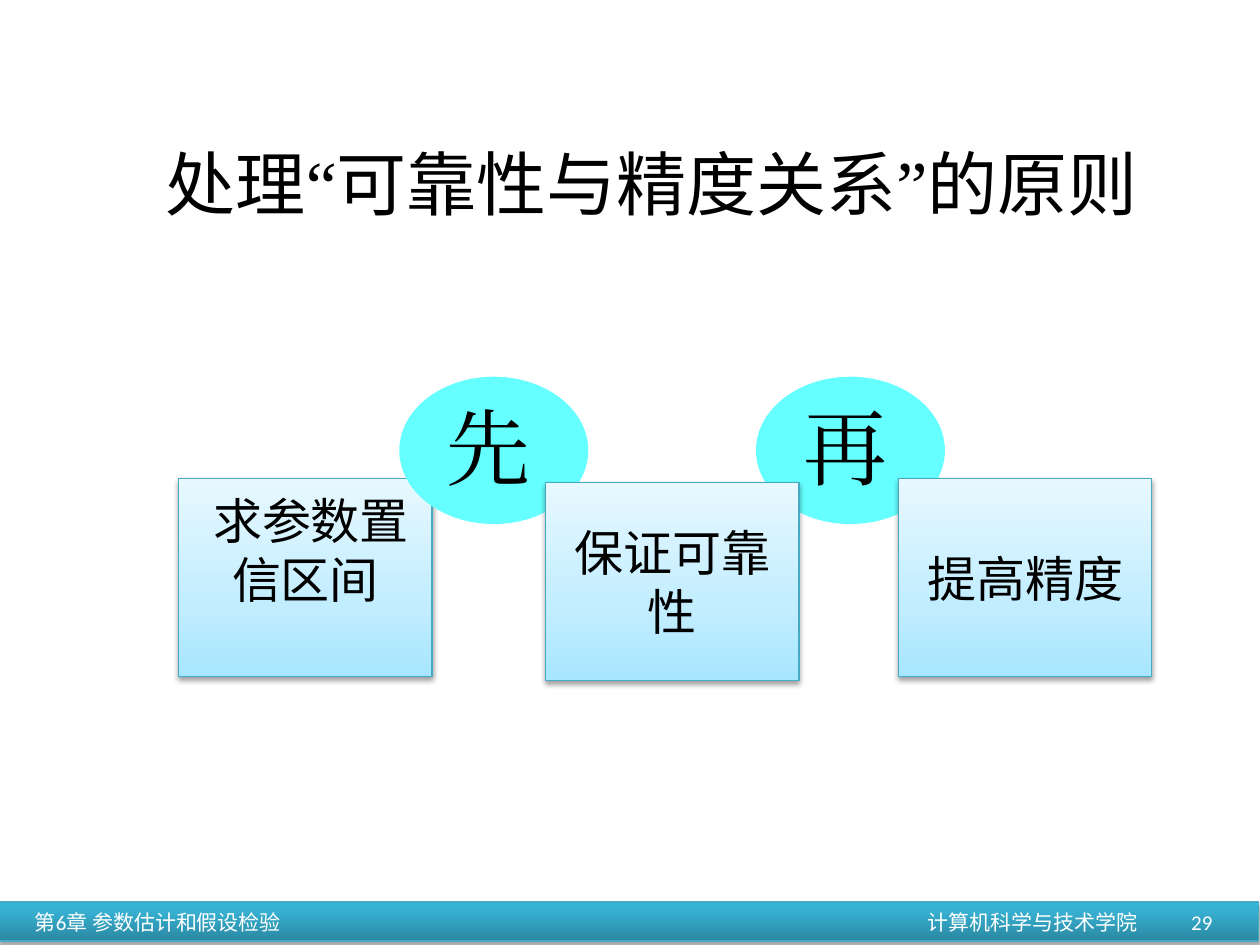
from pptx import Presentation
from pptx.util import Pt
from pptx.dml.color import RGBColor
from pptx.enum.shapes import MSO_SHAPE as Kind
from pptx.enum.text import PP_ALIGN as Align, MSO_ANCHOR as Anchor
from pptx.oxml import parse_xml
from pptx.oxml.ns import nsdecls
from lxml.etree import SubElement

SANS, SERIF = "Noto Sans CJK SC", "Times New Roman"
SKY = [(0, "A7E6FF"), (35, "C1EDFF"), (100, "E7F8FF")]
TEAL = [(0, "2A88A2"), (80, "37B1D2"), (100, "34B4D6")]


def hue(code):
    return RGBColor.from_string(code)


def write(shape, text, font=SANS, size=28, color="000000", align=Align.LEFT,
          anchor=Anchor.TOP, pads=(7.2, 3.6, 7.2, 3.6), lead=None):
    frame = shape.text_frame
    frame.word_wrap = True
    frame.vertical_anchor = anchor
    frame.margin_left, frame.margin_top, frame.margin_right, frame.margin_bottom = map(Pt, pads)
    para = frame.paragraphs[0]
    para.alignment = align
    if lead:
        para.line_spacing = Pt(lead)
    parts = [(text, font)] if isinstance(text, str) else text
    for words, face in parts:
        run = para.add_run()
        run.text = words
        run.font.name = face
        run.font.size = Pt(size)
        run.font.color.rgb = hue(color)
        east = SubElement(run.font._element, run.font._element[-1].tag.replace("latin", "ea"))
        east.set("typeface", face)


def label(slide, box, text, **style):
    write(slide.shapes.add_textbox(*map(Pt, box)), text, **style)


def panel(slide, box, stops, alpha, drop):
    shape = slide.shapes.add_shape(Kind.RECTANGLE, *map(Pt, box))
    shape.line.color.rgb = hue("46AAC5")
    shape.line.width = Pt(0.75)
    marks = "".join(f'<a:gs pos="{pos * 1000}"><a:srgbClr val="{code}"/></a:gs>'
                    for pos, code in stops)
    props = shape._element.spPr
    props.insert(2, parse_xml(
        f'<a:gradFill {nsdecls("a")} rotWithShape="1"><a:gsLst>{marks}</a:gsLst>'
        '<a:lin ang="16200000" scaled="0"/></a:gradFill>'))
    props.append(parse_xml(
        f'<a:effectLst {nsdecls("a")}><a:outerShdw blurRad="{Pt(3.1)}" dist="{Pt(drop)}" '
        'dir="5400000" rotWithShape="0"><a:srgbClr val="000000">'
        f'<a:alpha val="{alpha * 1000}"/></a:srgbClr></a:outerShdw></a:effectLst>'))
    return shape


def footer(slide, box):
    left, top, wide, high = box
    panel(slide, box, TEAL, 35, 1.8)
    style = dict(font="Calibri", size=12, color="FFFFFF", anchor=Anchor.MIDDLE)
    label(slide, (left + 13.5, top, 200, high), "第6章 参数估计和假设检验", **style)
    style["align"] = Align.RIGHT
    label(slide, (left + 458, top, 200, high), "计算机科学与技术学院", **style)
    label(slide, (left + 532.8, top - 3, 167.8, 28.8), "29", **style)


def step(slide, box, text, font, low=3.6):
    write(panel(slide, box, SKY, 38, 1.6), text, font=font, align=Align.CENTER,
          anchor=Anchor.MIDDLE, pads=(7.2, 3.6, 7.2, low))


def order(slide, box, text):
    left, top, wide, high = box
    oval = slide.shapes.add_shape(Kind.OVAL, *map(Pt, box))
    oval.shadow.inherit = False
    oval.fill.solid()
    oval.fill.fore_color.rgb = hue("66FFFF")
    oval.line.fill.background()
    label(slide, (left + 20, top + 7.2, 52.6, 64.8), text, font=SERIF, size=48)


def main():
    deck = Presentation()
    deck.slide_width, deck.slide_height = Pt(720), Pt(540)
    slide = deck.slides.add_slide(deck.slide_layouts[6])
    footer(slide, (-0.7, 515.5, 720, 22.3))
    step(slide, (102.2, 273.6, 144.7, 113), " 求参数置信区间", SANS, 36)
    for left, text in ((228.2, "先"), (432, "再")):
        order(slide, (left, 215.3, 108, 84.2), text)
    label(slide, (87.8, 77, 585.4, 55.4),
          [("处理", SANS), ("“", SERIF), ("可靠性与精度关系", SANS),
           ("”", SERIF), ("的原则", SANS)], size=40)
    step(slide, (513.4, 273.6, 144.7, 113), "提高精度", "Karla")
    step(slide, (311.8, 275.8, 144.7, 113), "保证可靠性", "Karla")
    deck.save("out.pptx")


if __name__ == "__main__":
    main()
